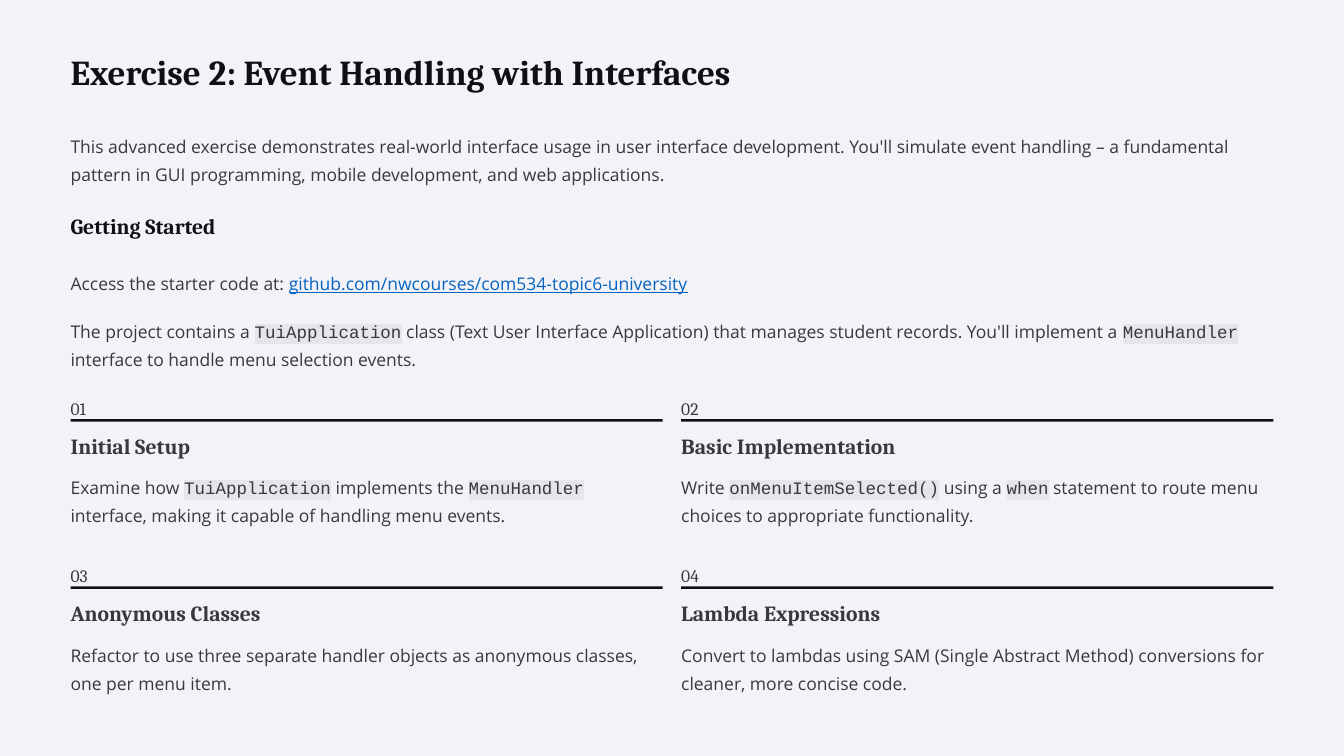
from dataclasses import dataclass

from lxml.etree import SubElement
from pptx import Presentation
from pptx.dml.color import RGBColor
from pptx.enum.shapes import MSO_SHAPE
from pptx.enum.text import MSO_ANCHOR, MSO_AUTO_SIZE, PP_ALIGN
from pptx.oxml.ns import qn
from pptx.util import Inches, Pt


@dataclass(frozen=True)
class Style:
    font: str
    size: float
    leading: float
    color: str
    bold: bool = False


@dataclass(frozen=True)
class Theme:
    background: str = "F3F3F7"
    rule: str = "101014"
    link: str = "0563C1"
    code_font: str = "Courier New"
    code_highlight: str = "E6E6EA"
    title: Style = Style("Cambria", 30, 37.5, "101014", True)
    section: Style = Style("Cambria", 18.5, 23.5, "101014", True)
    step: Style = Style("Cambria", 18.5, 23.5, "39393C", True)
    number: Style = Style("Cambria", 15, 24, "39393C")
    body: Style = Style("Open Sans", 15, 24, "39393C")


@dataclass(frozen=True)
class Grid:
    left: float = 0.84
    top: float = 4.65
    column: float = 7.05
    gutter: float = 0.22
    row: float = 1.99

    @property
    def width(self):
        return 2 * self.column + self.gutter

    def cell(self, index):
        row, column = divmod(index, 2)
        return (self.left + column * (self.column + self.gutter),
                self.top + row * self.row)


THEME = Theme()
GRID = Grid()

INTRO = ("This advanced exercise demonstrates real-world interface usage in user "
         "interface development. You'll simulate event handling – a fundamental "
         "pattern in GUI programming, mobile development, and web applications.")
PROJECT = ("The project contains a `TuiApplication` class (Text User Interface "
           "Application) that manages student records. You'll implement a "
           "`MenuHandler` interface to handle menu selection events.")
STEPS = [
    ("Initial Setup",
     "Examine how `TuiApplication` implements the `MenuHandler` interface, "
     "making it capable of handling menu events."),
    ("Basic Implementation",
     "Write `onMenuItemSelected()` using a `when` statement to route menu "
     "choices to appropriate functionality."),
    ("Anonymous Classes",
     "Refactor to use three separate handler objects as anonymous classes, "
     "one per menu item."),
    ("Lambda Expressions",
     "Convert to lambdas using SAM (Single Abstract Method) conversions for "
     "cleaner, more concise code."),
]


def add_run(paragraph, text, style):
    run = paragraph.add_run()
    run.text = text
    run.font.size = Pt(style.size)
    run.font.bold = style.bold
    run.font.color.rgb = RGBColor.from_string(style.color)
    run.font.name = style.font
    return run


def mark_code(run):
    run.font.name = THEME.code_font
    properties = run.font._element
    highlight = SubElement(properties, qn("a:highlight"))
    SubElement(highlight, qn("a:srgbClr"), val=THEME.code_highlight)
    properties.find(qn("a:solidFill")).addnext(highlight)


def fill_text(frame, text, style):
    frame.word_wrap = True
    frame.auto_size = MSO_AUTO_SIZE.NONE
    frame.vertical_anchor = MSO_ANCHOR.TOP
    frame.margin_left = frame.margin_right = 0
    frame.margin_top = frame.margin_bottom = 0
    paragraph = frame.paragraphs[0]
    paragraph.alignment = PP_ALIGN.LEFT
    paragraph.line_spacing = Pt(style.leading)
    for position, part in enumerate(text.split("`")):
        run = add_run(paragraph, part, style)
        if position % 2:
            mark_code(run)
    return paragraph


def add_title(slide, text):
    title = slide.shapes.title
    title.left, title.top = Inches(GRID.left), Inches(0.58)
    title.width, title.height = Inches(GRID.width), Inches(0.53)
    fill_text(title.text_frame, text, THEME.title)


def add_text(slide, left, top, width, height, text, style):
    box = slide.shapes.add_textbox(*map(Inches, (left, top, width, height)))
    return fill_text(box.text_frame, text, style)


def add_rule(slide, left, top):
    rule = slide.shapes.add_shape(
        MSO_SHAPE.RECTANGLE, *map(Inches, (left, top, GRID.column, 0.03)))
    rule.shadow.inherit = False
    rule.fill.solid()
    rule.fill.fore_color.rgb = RGBColor.from_string(THEME.rule)
    rule.line.fill.background()


def add_step(slide, index, heading, description):
    left, top = GRID.cell(index)
    add_text(slide, left, top, GRID.column, 0.26, f"{index + 1:02}", THEME.number)
    add_rule(slide, left, top + 0.34)
    add_text(slide, left, top + 0.49, GRID.column, 0.33, heading, THEME.step)
    add_text(slide, left, top + 0.95, GRID.column, 0.68, description, THEME.body)


def main():
    deck = Presentation()
    deck.slide_width, deck.slide_height = Inches(16), Inches(9)
    slide = deck.slides.add_slide(deck.slide_layouts.get_by_name("Title Only"))
    slide.background.fill.solid()
    slide.background.fill.fore_color.rgb = RGBColor.from_string(THEME.background)

    add_title(slide, "Exercise 2: Event Handling with Interfaces")
    add_text(slide, GRID.left, 1.53, GRID.width, 0.68, INTRO, THEME.body)
    add_text(slide, GRID.left, 2.52, GRID.width, 0.33, "Getting Started", THEME.section)
    access = add_text(slide, GRID.left, 3.17, GRID.width, 0.34,
                      "Access the starter code at: ", THEME.body)
    address = add_run(access, "github.com/nwcourses/com534-topic6-university", THEME.body)
    address.font.color.rgb = RGBColor.from_string(THEME.link)
    address.font.underline = True
    add_text(slide, GRID.left, 3.74, GRID.width, 0.68, PROJECT, THEME.body)

    for index, (heading, description) in enumerate(STEPS):
        add_step(slide, index, heading, description)

    deck.save("out.pptx")


if __name__ == "__main__":
    main()
